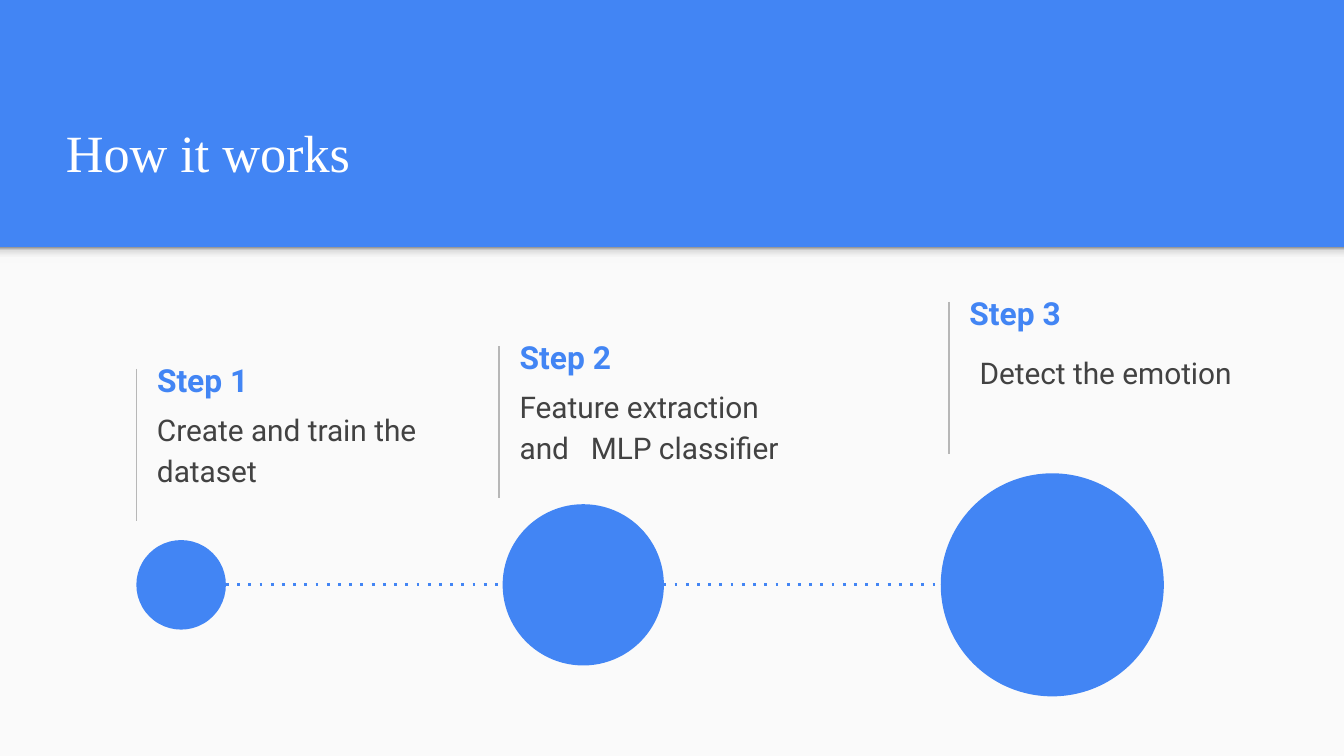
from collections import namedtuple

from lxml.etree import SubElement
from pptx import Presentation
from pptx.dml.color import RGBColor
from pptx.enum.shapes import MSO_CONNECTOR, MSO_SHAPE
from pptx.enum.text import MSO_ANCHOR, MSO_AUTO_SIZE, PP_ALIGN
from pptx.oxml.ns import qn
from pptx.util import Inches, Pt

Box = namedtuple("Box", "left top width height")

COLUMNS, ROWS = 100, 56.25
CELL = Inches(0.1)
COLORS = {
    "blue": "4285F4",
    "white": "FFFFFF",
    "panel": "FAFAFA",
    "rule": "B7B7B7",
    "text": "424242",
}
SHADOW_STOPS = [(0, "F9F9F9"), (36, "F9F9F9"), (80, "DEDEDE"), (100, "999999")]
TITLE_FONT = {"name": "Times New Roman", "size": Pt(28), "bold": False}
HEADING_FONT = {"name": "Roboto", "size": Pt(17), "bold": True}
BODY_FONT = {"name": "Roboto", "size": Pt(16), "bold": False}
BODY_SPACING = {"line_spacing": 1.15, "space_after": Pt(16)}
STEPS = [
    ("Step 1", "Create and train the dataset", Box(10.15, 27.45, 22, 11.3), (0.55, 1.8)),
    ("Step 2", "Feature extraction and\tMLP classifier", Box(37.13, 25.77, 22, 11.3), (0.55, 1.75)),
    ("Step 3", "Detect the emotion", Box(70.6, 22.47, 22, 11.3), (1.3, 2.53)),
]
CIRCLES = [(0, 6.66), (27.25, 12), (59.85, 16.6)]


def color(name):
    """Return the named colour."""
    return RGBColor.from_string(COLORS[name])


def set_all(target, values):
    """Set each attribute in values on the target."""
    for name, value in values.items():
        setattr(target, name, value)


def to_lengths(box):
    """Turn grid cells into slide lengths."""
    return [round(cells * CELL) for cells in box]


def add_filled(slide, preset, box, fill_color):
    """Add a flat shape without an outline."""
    shape = slide.shapes.add_shape(preset, *to_lengths(box))
    shape.shadow.inherit = False
    shape.line.fill.background()
    shape.fill.solid()
    shape.fill.fore_color.rgb = color(fill_color)
    return shape


def add_line(slide, start, end, line_color, width, dash=None):
    """Add a straight line without a shadow."""
    connector = slide.shapes.add_connector(
        MSO_CONNECTOR.STRAIGHT, *to_lengths(start), *to_lengths(end))
    connector.line.color.rgb = color(line_color)
    connector.line.width = Pt(width)
    properties = connector._element.spPr
    if dash:
        SubElement(properties.find(qn("a:ln")), qn("a:prstDash"), val=dash)
    SubElement(properties, qn("a:effectLst"))


def write_text(shape, text, font, font_color, anchor, spacing=None):
    """Write one left-aligned paragraph in a shape."""
    frame = shape.text_frame
    set_all(frame, {
        "word_wrap": True,
        "auto_size": MSO_AUTO_SIZE.NONE,
        "vertical_anchor": anchor,
        **dict.fromkeys(
            ["margin_left", "margin_right", "margin_top", "margin_bottom"], CELL),
    })
    paragraph = frame.paragraphs[0]
    if "\t" in text:
        tabs = SubElement(paragraph._p.get_or_add_pPr(), qn("a:tabLst"))
        SubElement(tabs, qn("a:tab"), pos=str(Inches(0.53)), algn="l")
    set_all(paragraph, {"alignment": PP_ALIGN.LEFT, **(spacing or {})})
    run = paragraph.add_run()
    run.text = text
    set_all(run.font, font)
    run.font.color.rgb = color(font_color)


def add_panel(slide, box):
    """Place the light panel and the shadow along its top edge."""
    add_filled(slide, MSO_SHAPE.RECTANGLE, box, "panel")
    shadow = add_filled(slide, MSO_SHAPE.RECTANGLE, box._replace(height=1.2), "panel")
    shadow.fill.gradient()
    shadow.fill.gradient_angle = 90
    stops = shadow._element.spPr.find(qn("a:gradFill")).find(qn("a:gsLst"))
    for stop in list(stops):
        stops.remove(stop)
    for position, value in SHADOW_STOPS:
        stop = SubElement(stops, qn("a:gs"), pos=str(position * 1000))
        SubElement(stop, qn("a:srgbClr"), val=value)


def add_title(slide, box, text):
    """Place the slide title in the blue band."""
    title = slide.shapes.title
    set_all(title, dict(zip(box._fields, to_lengths(box))))
    write_text(title, text, TITLE_FONT, "white", MSO_ANCHOR.BOTTOM)


def add_step(slide, box, heading, body, body_offset):
    """Place a rule with a heading and a body to its right."""
    add_line(slide, box[:2], (box.left, box.top + box.height), "rule", 0.75)
    heading_box = Box(box.left + 0.55, box.top - 1.35, 19.8, 4.3)
    heading_shape = slide.shapes.add_textbox(*to_lengths(heading_box))
    write_text(heading_shape, heading, HEADING_FONT, "blue", MSO_ANCHOR.MIDDLE)
    across, down = body_offset
    body_box = Box(box.left + across, box.top + down, box.width, 6.3)
    body_shape = slide.shapes.add_textbox(*to_lengths(body_box))
    write_text(body_shape, body, BODY_FONT, "text", MSO_ANCHOR.TOP, BODY_SPACING)


def add_timeline(slide, box):
    """Place growing circles centred on a dotted line."""
    middle = box.top + box.height / 2
    first_width, last_offset = CIRCLES[0][1], CIRCLES[-1][0]
    add_line(slide, (box.left + first_width, middle),
             (box.left + last_offset, middle), "blue", 1.5, "dot")
    for offset, size in CIRCLES:
        circle_box = Box(box.left + offset, middle - size / 2, size, size)
        add_filled(slide, MSO_SHAPE.OVAL, circle_box, "blue")


def main():
    """Build and save the slide."""
    presentation = Presentation()
    presentation.slide_width, presentation.slide_height = to_lengths((COLUMNS, ROWS))
    slide = presentation.slides.add_slide(presentation.slide_layouts.get_by_name("Title Only"))
    slide.background.fill.solid()
    slide.background.fill.fore_color.rgb = color("blue")
    band = 18.4
    add_panel(slide, Box(0, band, COLUMNS, ROWS - band))
    add_title(slide, Box(3.9, 6.2, 89.9, 8.4), "How it works")
    for heading, body, box, body_offset in STEPS:
        add_step(slide, box, heading, body, body_offset)
    add_timeline(slide, Box(10.15, 35.22, 76.45, 16.6))
    presentation.save("out.pptx")


if __name__ == "__main__":
    main()
